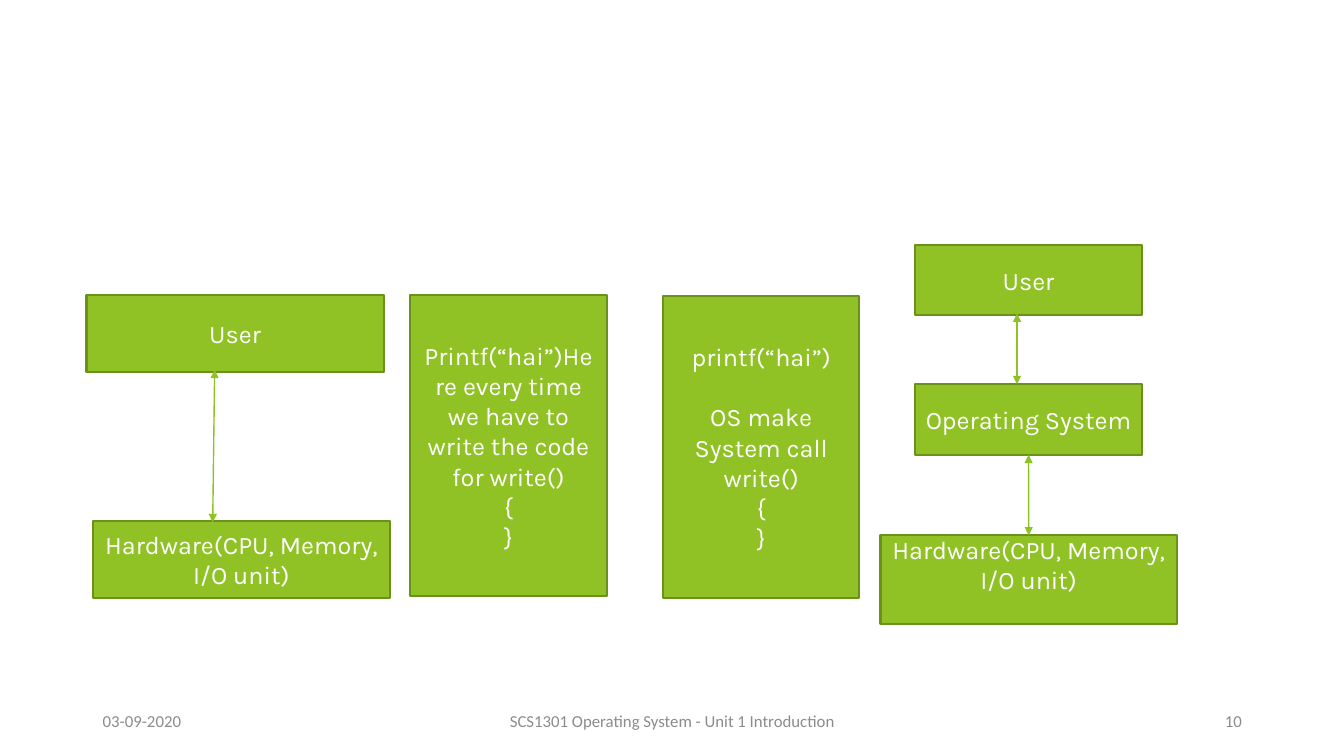
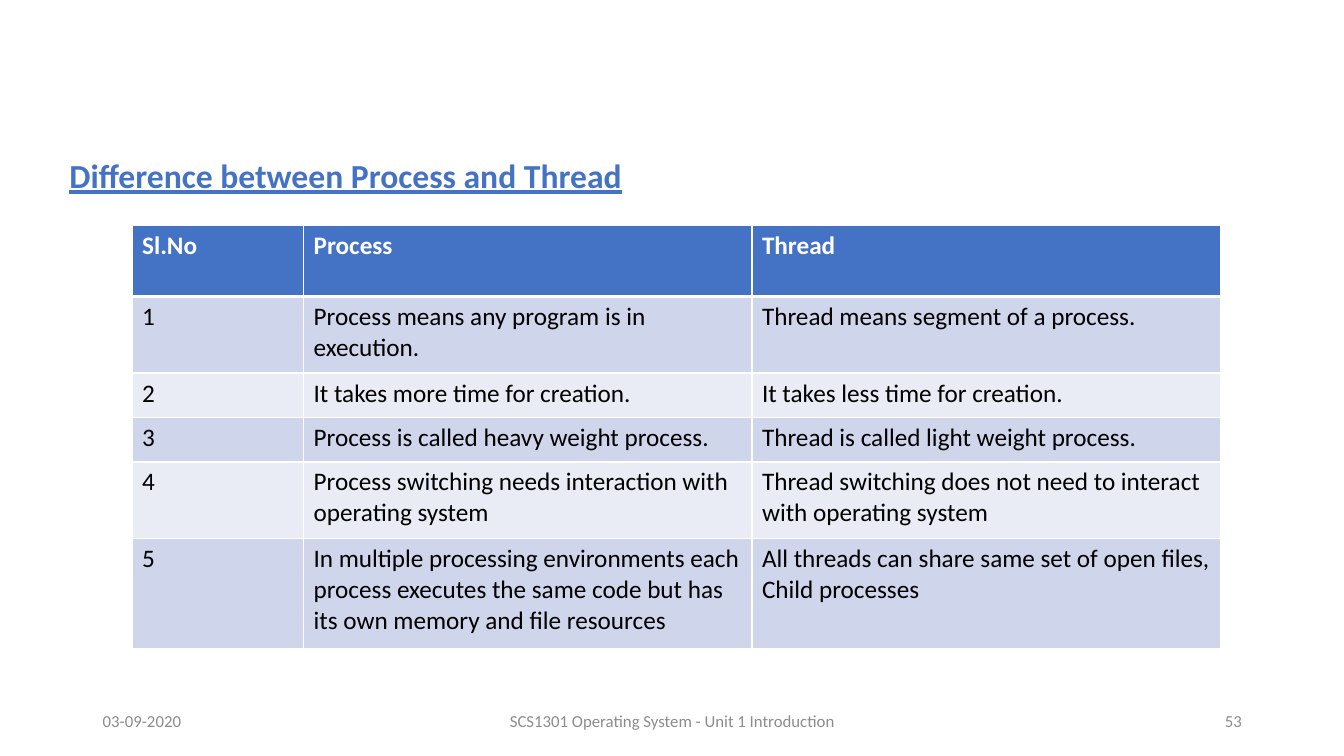
"""Build two slides on operating systems: a call diagram and a table of processes and threads."""
from pptx import Presentation
from pptx.dml.color import RGBColor
from pptx.enum.shapes import MSO_CONNECTOR as Link, MSO_SHAPE as Shape
from pptx.enum.text import MSO_ANCHOR as Anchor, PP_ALIGN as Align
from pptx.oxml import parse_xml
from pptx.oxml.ns import nsdecls
from pptx.oxml.xmlchemy import OxmlElement as Node
from pptx.util import Cm, Pt

GREEN, EDGE, WHITE, BLACK = "90C226", "6B901C", "FFFFFF", "000000"
BLUE, GREY, BANDS = "4472C4", "8C8C8C", ("E9EBF5", "CFD5EA")


def rgb(code):
    return RGBColor.from_string(code)


def write(frame, text, size, color, font="Calibri", align=Align.LEFT, bold=False):
    frame.word_wrap = True
    frame.text = text
    for para in frame.paragraphs:
        para.alignment = align
        para.font.name = font
        para.font.size = Pt(size)
        para.font.bold = bold
        para.font.color.rgb = rgb(color)


deck = Presentation()
deck.slide_width, deck.slide_height = Cm(33.87), Cm(19.05)
blank = deck.slide_layouts[6]
calls, threads = [deck.slides.add_slide(blank) for _ in range(2)]

hard = "Hardware(CPU, Memory, I/O unit)"
specs = {
    "user": (2.18, 7.44, 7.49, 1.93, "User"),
    "hard": (2.34, 13.13, 7.49, 1.93, hard),
    "top": (23.06, 6.17, 5.72, 1.78, "User"),
    "system": (23.06, 9.68, 5.72, 1.78, "Operating System"),
    "base": (22.19, 13.49, 7.47, 2.24, hard),
    "short": (16.71, 7.47, 4.95, 7.59,
              "printf(“hai”)\nOS make System call write()\n{\n}"),
    "long": (10.34, 7.44, 4.95, 7.59,
             "Printf(“hai”)Here every time we have to write the code for write()\n{\n}"),
}
boxes = {}
for name, (*place, text) in specs.items():
    box = calls.shapes.add_shape(Shape.RECTANGLE, *map(Cm, place))
    box.shadow.inherit = False
    box.fill.solid()
    box.fill.fore_color.rgb = rgb(GREEN)
    box.line.color.rgb = rgb(EDGE)
    box.line.width = Pt(1.5)
    box.text_frame.vertical_anchor = Anchor.MIDDLE
    write(box.text_frame, text, 18, WHITE, "Karla", Align.CENTER)
    boxes[name] = box
boxes["base"].text_frame.margin_bottom = Cm(0.89)
boxes["short"].text_frame.paragraphs[1].space_before = Pt(21.5)

arrows = []
for ends in ((5.41, 9.32, 5.36, 13.16), (25.63, 7.9, 25.63, 9.68), (25.92, 11.46, 25.92, 13.49)):
    arrow = calls.shapes.add_connector(Link.STRAIGHT, *map(Cm, ends))
    arrow.line.color.rgb = rgb(GREEN)
    arrow.line.width = Pt(1)
    line = arrow.line._get_or_add_ln()
    for tag in ("a:headEnd", "a:tailEnd"):
        tip = Node(tag)
        tip.set("type", "triangle")
        line.append(tip)
    arrow._element.spPr.append(Node("a:effectLst"))
    arrows.append(arrow)
arrows[-1].begin_connect(boxes["system"], 2)
arrows[-1].end_connect(boxes["base"], 0)

title = threads.shapes.add_textbox(Cm(1.5), Cm(3.78), Cm(31.62), Cm(1.3)).text_frame
write(title, "Difference between Process and Thread", 24, BLUE, align=Align.JUSTIFY, bold=True)
title.paragraphs[0].font.underline = True

rows = (
    ("Sl.No", "Process", "Thread"),
    ("1", "Process means any program is in execution.", "Thread means segment of a process."),
    ("2", "It takes more time for creation.", "It takes less time for creation."),
    ("3", "Process is called heavy weight process.", "Thread is called light weight process."),
    ("4", "Process switching needs interaction with operating system",
     "Thread switching does not need to interact with operating system"),
    ("5", "In multiple processing environments each process executes the same code "
          "but has its own memory and file resources",
     "All threads can share same set of open files, Child processes"),
)
widths = (4.32, 11.3, 11.81)
heights = (1.78, 1.93, 1.12, 1.12, 1.93, 2.77)
table = threads.shapes.add_table(len(rows), len(widths), Cm(3.33), Cm(5.69),
                                 Cm(sum(widths)), Cm(sum(heights))).table
for col, width in zip(table.columns, widths):
    col.width = Cm(width)
for r, (row, height) in enumerate(zip(rows, heights)):
    table.rows[r].height = Cm(height)
    for c, text in enumerate(row):
        cell = table.cell(r, c)
        write(cell.text_frame, text, 18, BLACK if r else WHITE, bold=r == 0)
        cell.fill.solid()
        cell.fill.fore_color.rgb = rgb(BANDS[r % 2] if r else BLUE)
        props = cell._tc.get_or_add_tcPr()
        for i, side in enumerate("LRTB"):
            thick = (r, side) in ((0, "B"), (1, "T"))
            props.insert(i, parse_xml(
                f'<a:ln{side} {nsdecls("a")} w="{Pt(3 if thick else 1)}"><a:solidFill>'
                f'<a:srgbClr val="{WHITE}"/></a:solidFill></a:ln{side}>'))

for slide, page in ((calls, "10"), (threads, "53")):
    for left, width, text, align in (
            (2.34, 7.62, "03-09-2020", Align.LEFT),
            (11.23, 11.43, "SCS1301 Operating System - Unit 1 Introduction", Align.CENTER),
            (23.93, 7.62, page, Align.RIGHT)):
        foot = slide.shapes.add_textbox(Cm(left), Cm(17.65), Cm(width), Cm(1.02)).text_frame
        foot.vertical_anchor = Anchor.MIDDLE
        write(foot, text, 12, GREY, align=align)

deck.save("out.pptx")
